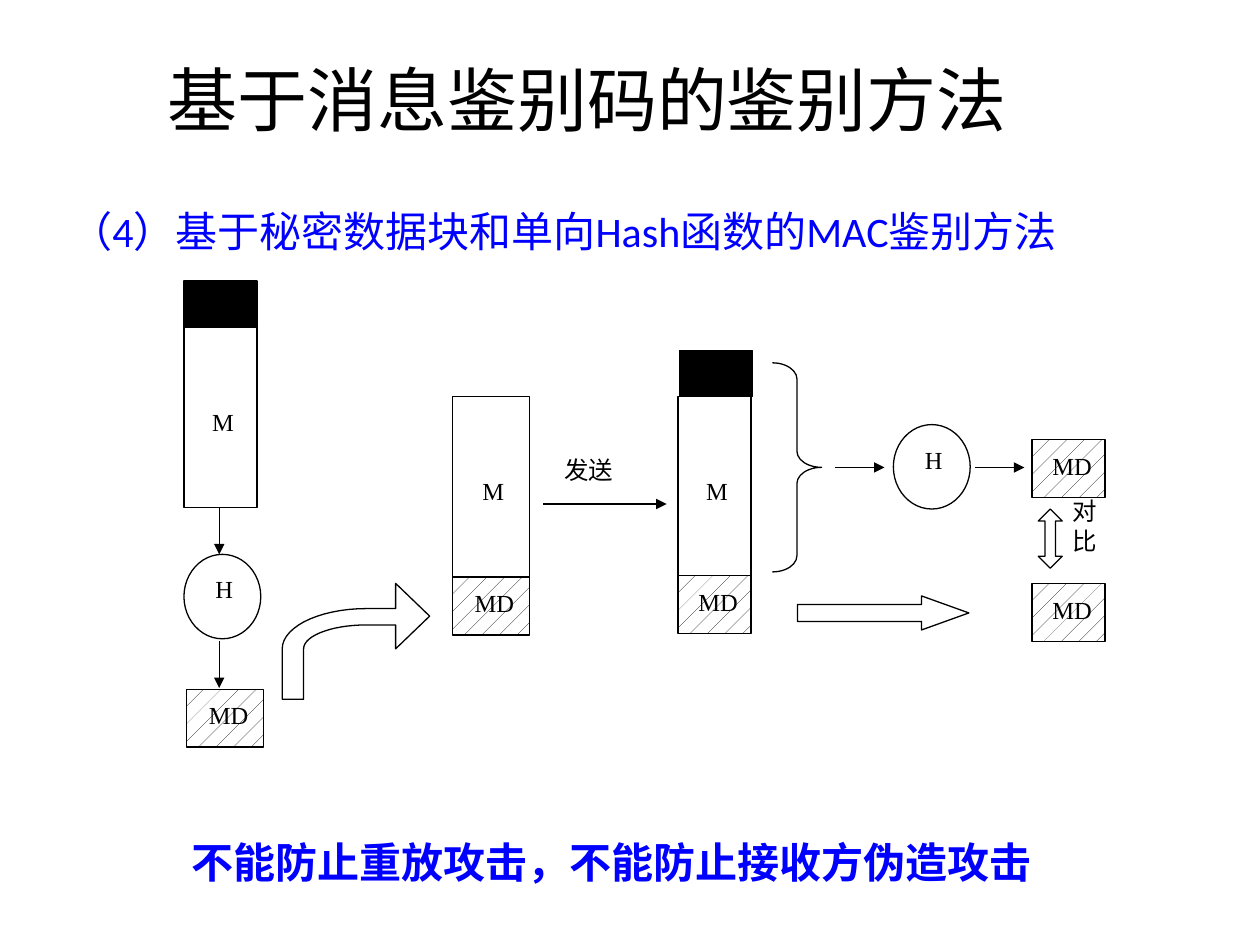
"""Builds a slide on message authentication with a secret block and a hash."""
import math
from lxml import etree
from pptx import Presentation, util as u
from pptx.dml.color import RGBColor
from pptx.enum import dml, shapes, text
from pptx.oxml.ns import qn

HUES = {"ink": "000000", "paper": "FFFFFF", "blue": "0000FF"}
FACES = {"head": "Calibri", "mark": "Times New Roman", "han": "Noto Sans CJK SC"}
KINDS = shapes.MSO_SHAPE
CENTER = text.PP_ALIGN.CENTER


def hue(name):
    return RGBColor.from_string(HUES[name])


def inch(*nums):
    return [u.Inches(n) for n in nums]


class Sketch:
    """Holds the style and the current slide."""

    def __init__(self, slide):
        self.items = slide.shapes
        self.width = u.Pt(0.75)

    def letter(self, frame, words, size, face, color="ink", align=None, bold=False):
        frame.text = words
        para = frame.paragraphs[0]
        para.alignment = align
        run = para.runs[0]
        font = run.font
        font.size, font.name, font.bold = u.Pt(size), FACES[face], bold
        font.color.rgb = hue(color)
        east = etree.SubElement(run._r.get_or_add_rPr(), qn("a:ea"))
        east.set("typeface", FACES["han"])

    def title(self, words, *box):
        item = self.items.title
        item.left, item.top, item.width, item.height = inch(*box)
        frame = item.text_frame
        frame.word_wrap = True
        frame.auto_size = text.MSO_AUTO_SIZE.NONE
        frame.vertical_anchor = text.MSO_ANCHOR.MIDDLE
        self.letter(frame, words, 40, "head", align=CENTER)

    def label(self, words, *box, size=14, face="mark", color="ink",
              align=CENTER, bold=False, wrap=True):
        frame = self.items.add_textbox(*inch(*box)).text_frame
        frame.word_wrap = wrap
        self.letter(frame, words, size, face, color, align, bold)

    def paint(self, item, fill="paper"):
        item.shadow.inherit = False
        item.line.color.rgb = hue("ink")
        item.line.width = self.width
        if fill == "hatch":
            item.fill.patterned()
            item.fill.pattern = dml.MSO_PATTERN.PERCENT_5
            item.fill.fore_color.rgb = hue("ink")
            item.fill.back_color.rgb = hue("paper")
        elif fill:
            item.fill.solid()
            item.fill.fore_color.rgb = hue(fill)
        else:
            item.fill.background()

    def shape(self, kind, *box, fill="paper", adjust=()):
        item = self.items.add_shape(kind, *inch(*box))
        for i, value in enumerate(adjust):
            item.adjustments[i] = value
        self.paint(item, fill)

    def message(self, x, y, w):
        self.shape(KINDS.RECTANGLE, x, y, w, 1.43)
        self.label("M", x + 0.02, y + 0.58, w, 0.53)

    def secret(self, x, y):
        self.shape(KINDS.RECTANGLE, x, y, 0.58, 0.37, fill="ink")

    def digest(self, x, y, w):
        self.shape(KINDS.RECTANGLE, x, y, w, 0.46, fill="hatch")
        self.label("MD", x - 0.03, y + 0.04, w + 0.12, 0.46)

    def hash(self, x, y):
        self.shape(KINDS.OVAL, x, y, 0.61, 0.67)
        self.label("H", x + 0.03, y + 0.11, 0.58, 0.55)

    def arrow(self, *ends):
        item = self.items.add_connector(shapes.MSO_CONNECTOR.STRAIGHT, *inch(*ends))
        item.line.color.rgb = hue("ink")
        item.line.width = self.width
        props = item._element.spPr
        etree.SubElement(props.find(qn("a:ln")), qn("a:tailEnd"), type="triangle")
        etree.SubElement(props, qn("a:effectLst"))

    def bend(self):
        def arc(x, y, wide, high):
            turns = [math.radians(6 * i) for i in range(16)]
            return [(x - wide * math.sin(t), y - high * math.cos(t)) for t in turns]

        outer = arc(2.91, 5.15, 0.67, 0.32)
        inner = arc(2.91, 5.15, 0.5, 0.19)[::-1]
        dots = [(3.14, 4.63), (3.14, 4.83), *outer, (2.24, 5.55), (2.41, 5.55),
                *inner, (3.14, 4.96), (3.14, 5.15)]
        form = self.items.build_freeform(*inch(3.41, 4.89), scale=1.0)
        form.add_line_segments([inch(*dot) for dot in dots], close=True)
        self.paint(form.convert_to_shape())


def main():
    deck = Presentation()
    deck.slide_width, deck.slide_height = inch(10, 7.5)
    art = Sketch(deck.slides.add_slide(deck.slide_layouts[5]))

    art.hash(1.46, 4.4)
    for y in (4.03, 5.09):
        art.arrow(1.74, y, 1.74, y + 0.37)
    art.digest(1.48, 5.47, 0.61)
    art.message(1.46, 2.6, 0.58)
    art.secret(1.46, 2.23)

    art.message(3.59, 3.15, 0.61)
    art.digest(3.59, 4.58, 0.61)
    art.bend()

    art.message(5.38, 3.15, 0.58)
    art.secret(5.39, 2.78)
    art.digest(5.38, 4.57, 0.58)
    art.shape(KINDS.RIGHT_BRACE, 6.13, 2.88, 0.39, 1.66, fill=None, adjust=(0.33, 0.5))

    art.hash(7.09, 3.37)
    for x in (6.63, 7.74):
        art.arrow(x, 3.71, x + 0.39, 3.71)
    for y in (3.49, 4.63):
        art.digest(8.19, y, 0.58)
    art.shape(KINDS.RIGHT_ARROW, 6.33, 4.73, 1.36, 0.27, adjust=(0.5, 1.39))
    art.shape(KINDS.UP_DOWN_ARROW, 8.24, 4.04, 0.19, 0.47, adjust=(0.5, 0.44))
    art.label("对比", 8.32, 3.89, 0.58, 1.11)
    art.arrow(4.31, 4, 5.29, 4)
    art.label("发送", 4.09, 3.56, 1.17, 0.55)

    art.label("（4）基于秘密数据块和单向Hash函数的MAC鉴别方法",
              0.46, 1.58, 8.83, 0.5, size=24, face="head", color="blue", align=None)
    art.title("基于消息鉴别码的鉴别方法", 0.4, 0.26, 8.52, 1.04)
    art.label("不能防止重放攻击，不能防止接收方伪造攻击", 1.42, 6.59, 6.97, 0.5,
              size=24, face="han", color="blue", align=None, bold=True, wrap=False)
    deck.save("out.pptx")


if __name__ == "__main__":
    main()
